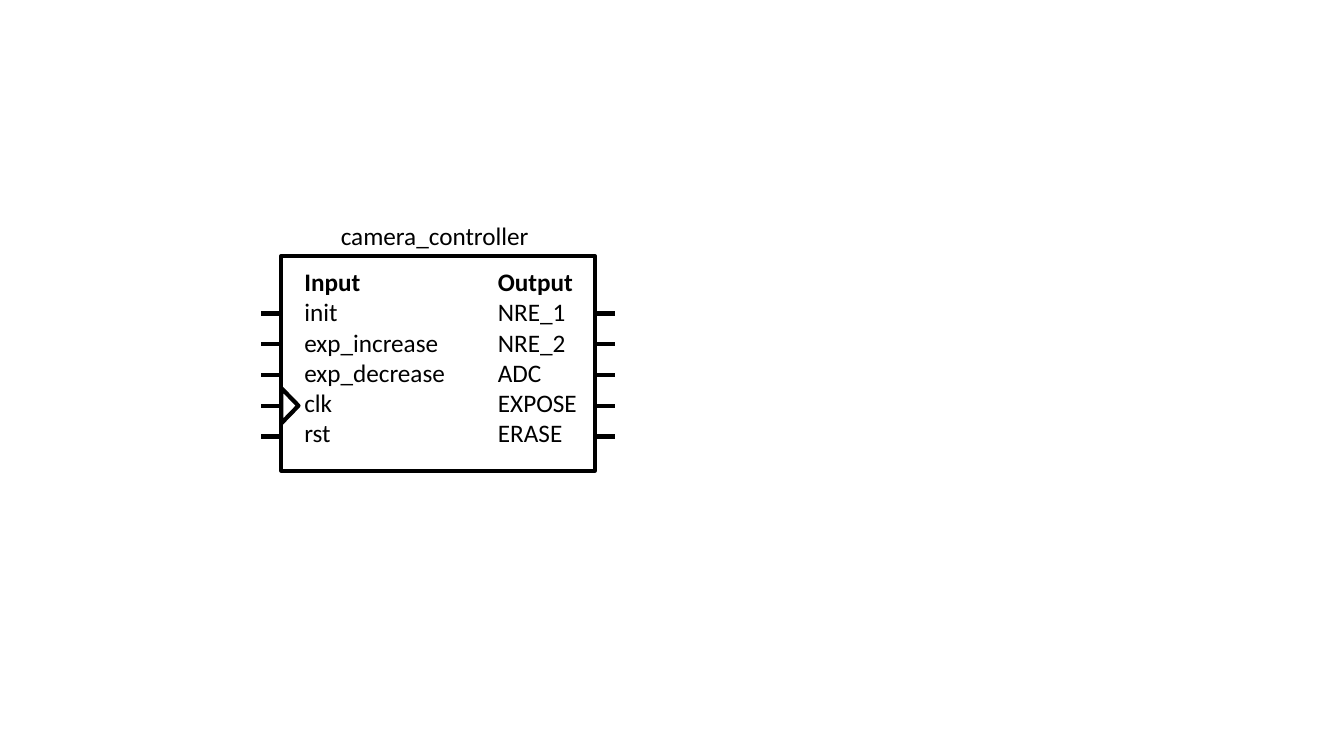
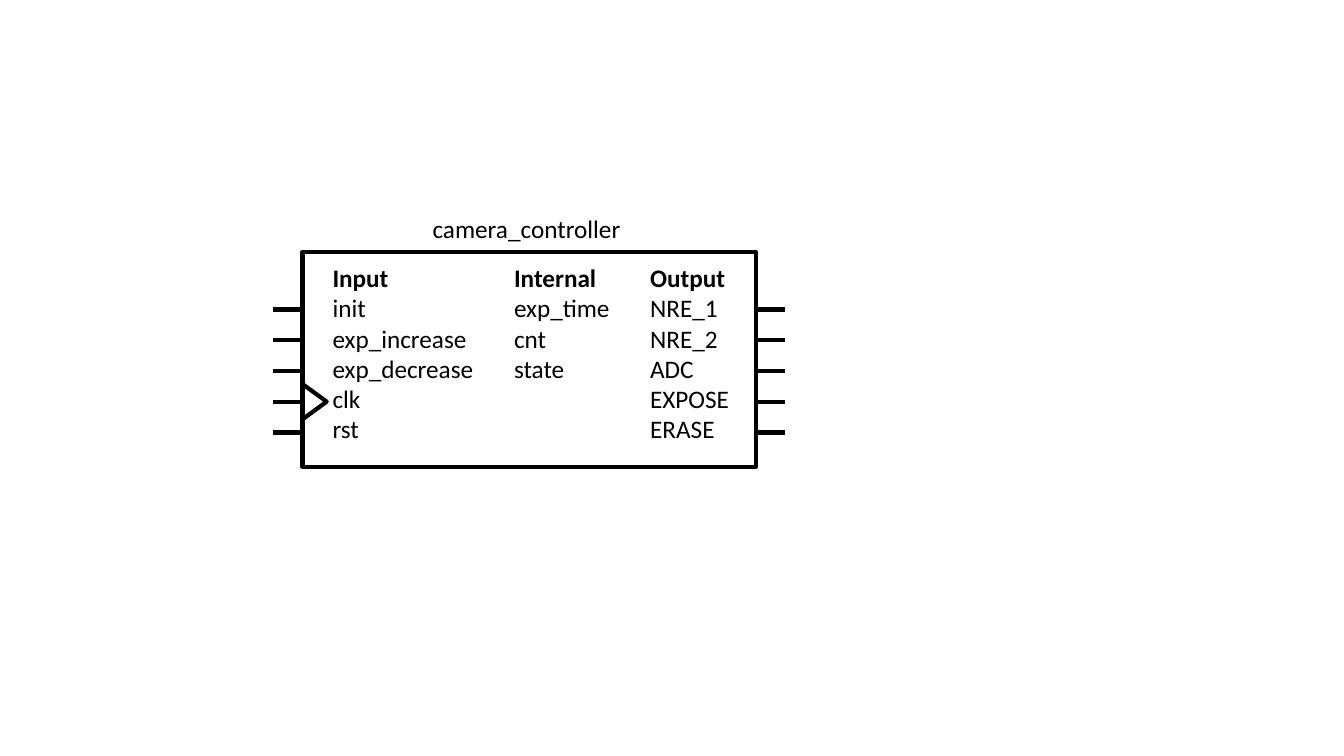
from pptx import Presentation
from pptx.dml.color import RGBColor
from pptx.enum.shapes import MSO_CONNECTOR, MSO_SHAPE
from pptx.enum.text import MSO_ANCHOR, MSO_AUTO_SIZE, PP_ALIGN
from pptx.oxml.ns import qn
from pptx.util import Inches, Pt
from lxml import etree

RECTANGLE = MSO_SHAPE.RECTANGLE
TRIANGLE = MSO_SHAPE.ISOSCELES_TRIANGLE
STRAIGHT = MSO_CONNECTOR.STRAIGHT
LEFT = PP_ALIGN.LEFT
MIDDLE = MSO_ANCHOR.MIDDLE
FIXED = MSO_AUTO_SIZE.NONE

TITLE_ONLY = 5
CELL = Inches(0.1)
LINE_PITCH = 3.05
FIRST_PIN = 5.7
LIST_OFFSET = 0.55
CLOCK_HEIGHT = 3.5

BLOCK_NAME = "camera_controller"
INPUTS = ["init", "exp_increase", "exp_decrease", "clk", "rst"]
OUTPUTS = ["NRE_1", "NRE_2", "ADC", "EXPOSE", "ERASE"]
INTERNALS = ["exp_time", "cnt", "state"]


def color(hex_code):
    return RGBColor.from_string(hex_code)


def cells(*counts):
    return [round(count * CELL) for count in counts]


class BlockDiagram:
    ink = "000000"
    font = "Calibri"
    size = Pt(18)
    stroke = Pt(3)

    def __init__(self, deck, body, pin_length, clock_depth):
        self.page = deck.slides.add_slide(deck.slide_layouts[TITLE_ONLY])
        self.shapes = self.page.shapes.add_group_shape().shapes
        self.left, self.top, self.width, self.height = body
        self.pin_length = pin_length
        self.clock_depth = clock_depth

    def style_line(self, line):
        line.color.rgb = color(self.ink)
        line.width = self.stroke

    def style_paragraph(self, para, bold=False):
        para.alignment = LEFT
        para.font.name = self.font
        para.font.size = self.size
        para.font.bold = bold
        para.font.color.rgb = color(self.ink)

    def title(self, text, left, top):
        box = self.page.shapes.title
        box.left, box.top, box.width, box.height = cells(left, top, 21.2, 4)
        frame = box.text_frame
        frame.text = text
        frame.auto_size = FIXED
        frame.vertical_anchor = MIDDLE
        self.style_paragraph(frame.paragraphs[0])

    def outline(self, kind, left, top, width, height, rotation=0):
        shape = self.shapes.add_shape(kind, *cells(left, top, width, height))
        shape.rotation = rotation
        shape.shadow.inherit = False
        shape.fill.background()
        self.style_line(shape.line)

    def body(self):
        self.outline(RECTANGLE, self.left, self.top, self.width, self.height)

    def signals(self, heading, names, left, width):
        lines = [heading, *names]
        box = self.shapes.add_textbox(
            *cells(left, self.top + LIST_OFFSET, width, len(lines) * LINE_PITCH + 1))
        frame = box.text_frame
        frame.word_wrap = True
        frame.text = "\n".join(lines)
        for index, para in enumerate(frame.paragraphs):
            self.style_paragraph(para, bold=index == 0)

    def pin_row(self, index):
        return self.top + FIRST_PIN + index * LINE_PITCH

    def pins(self, count, edge, direction):
        for index in range(count):
            row = self.pin_row(index)
            pin = self.shapes.add_connector(
                STRAIGHT, *cells(edge, row, edge + direction * self.pin_length, row))
            self.style_line(pin.line)
            etree.SubElement(pin._element.spPr, qn("a:effectLst"))

    def clock(self, index):
        center = self.left + self.clock_depth / 2
        self.outline(TRIANGLE, center - CLOCK_HEIGHT / 2,
                     self.pin_row(index) - self.clock_depth / 2,
                     CLOCK_HEIGHT, self.clock_depth, rotation=90)

    def draw(self, title_at, columns):
        self.title(BLOCK_NAME, *title_at)
        self.body()
        for column in columns:
            self.signals(*column)
        self.clock(INPUTS.index("clk"))
        self.pins(len(INPUTS), self.left, -1)
        self.pins(len(OUTPUTS), self.left + self.width, 1)


def main():
    deck = Presentation()
    deck.slide_width, deck.slide_height = Inches(13.33), Inches(7.5)

    ports = BlockDiagram(deck, (27.9, 25.4, 31.1, 21.3), pin_length=2, clock_depth=1.7)
    ports.draw((32.8, 21.4), [
        ("Input", INPUTS, 29.2, 16.7),
        ("Output", OUTPUTS, 48.4, 10.4),
    ])

    registers = BlockDiagram(deck, (30, 25, 45, 21.3), pin_length=2.9, clock_depth=2.4)
    registers.draw((41.9, 20.7), [
        ("Input", INPUTS, 32, 16.7),
        ("Internal", INTERNALS, 50, 12),
        ("Output", OUTPUTS, 63.5, 10.4),
    ])

    deck.save("out.pptx")


if __name__ == "__main__":
    main()
